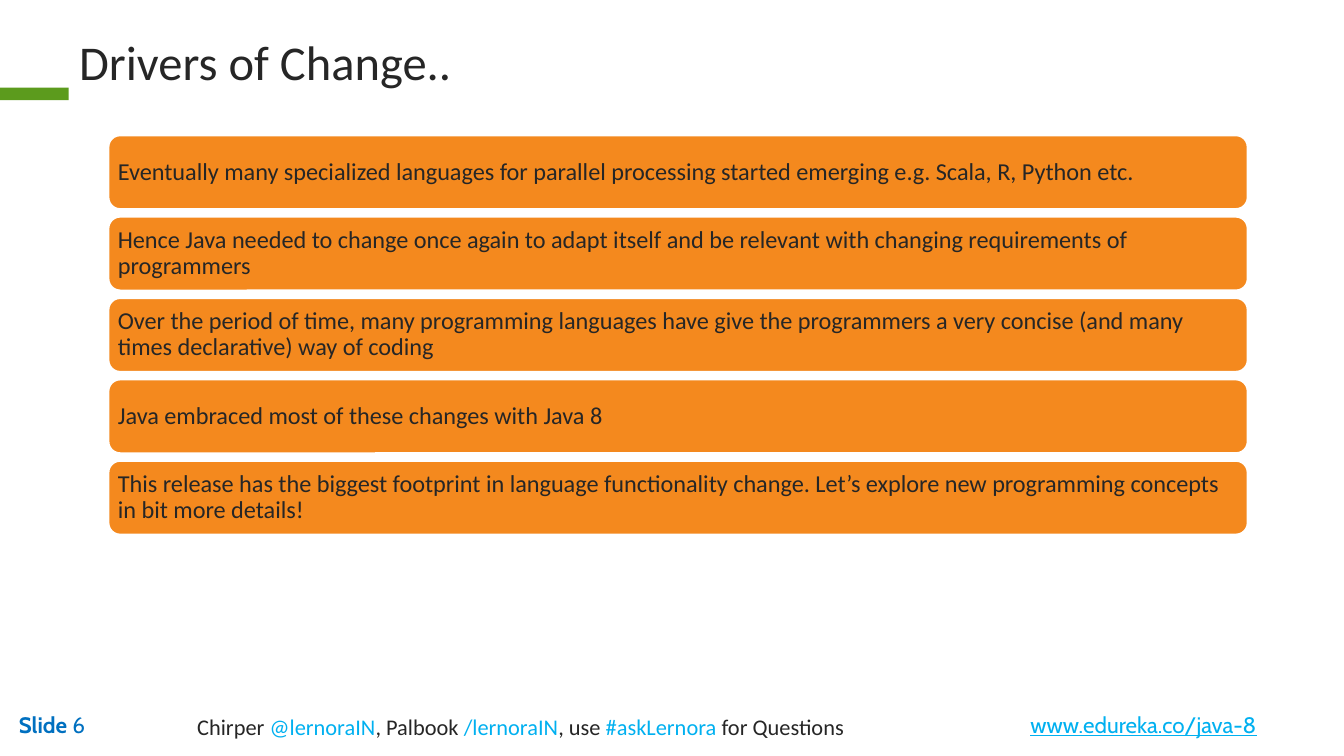
from typing import NamedTuple

from pptx import Presentation
from pptx.dml.color import RGBColor
from pptx.enum.shapes import MSO_SHAPE
from pptx.enum.text import MSO_ANCHOR
from pptx.util import Pt

RECT = MSO_SHAPE.RECTANGLE
ROUND = MSO_SHAPE.ROUNDED_RECTANGLE
MIDDLE = MSO_ANCHOR.MIDDLE

INK = "262626"
SKY = "00B0F0"
BLUE = "0070C0"
GREEN = "5C9B1D"
ORANGE = "F4891E"
WHITE = "FFFFFF"


class Box(NamedTuple):
    left: float
    top: float
    width: float
    height: float


class Span(NamedTuple):
    text: str
    color: str = INK
    bold: bool = False
    under: bool = False


class Label(NamedTuple):
    box: Box
    size: float
    face: str
    spans: list[Span]
    wrap: bool = True


LABELS = [
    Label(Box(3, 377.3, 113.8, 21.6), 12, "Cabin",
          [Span("Slide ", BLUE, bold=True), Span("6", BLUE)]),
    Label(Box(545, 377.3, 141, 21.6), 12, "Cabin",
          [Span("www.edureka.co/java-8", SKY, under=True)], wrap=False),
    Label(Box(98.6, 378.5, 474, 22), 12, "Calibri",
          [Span("Chirper "), Span("@lernoraIN", SKY),
           Span(", Palbook "), Span("/lernoraIN", SKY),
           Span(", use "), Span("#askLernora ", SKY),
           Span("for Questions")]),
    Label(Box(35.3, 13.7, 432.7, 34.6), 26, "Calibri",
          [Span("Drivers of Change..")]),
]

DRIVERS = [
    "Eventually many specialized languages for parallel processing started "
    "emerging e.g. Scala, R, Python etc.",
    "Hence Java needed to change once again to adapt itself and be relevant "
    "with changing requirements of programmers",
    "Over the period of time, many programming languages have give the "
    "programmers a very concise (and many times declarative) way of coding",
    "Java embraced most of these changes with Java 8",
    "This release has the biggest footprint in language functionality change. "
    "Let’s explore new programming concepts in bit more details!",
]
FIRST = Box(57.6, 72, 611.3, 40.5)
PITCH = 43.6


def paint(target, color: str) -> None:
    """Give a fill or a line one solid colour."""
    target.solid()
    target.fore_color.rgb = RGBColor.from_string(color)


def place(box: Box) -> list[Pt]:
    return [Pt(n) for n in box]


def write(para, spans: list[Span], size: float, face: str) -> None:
    for span in spans:
        run = para.add_run()
        run.text = span.text
        font = run.font
        font.name, font.size = face, Pt(size)
        font.bold, font.underline = span.bold, span.under
        paint(font.fill, span.color)


def add_label(slide, label: Label) -> None:
    frame = slide.shapes.add_textbox(*place(label.box)).text_frame
    frame.word_wrap = label.wrap
    write(frame.paragraphs[0], label.spans, label.size, label.face)


def add_block(slide, kind: MSO_SHAPE, box: Box, color: str):
    block = slide.shapes.add_shape(kind, *place(box))
    block.shadow.inherit = False
    paint(block.fill, color)
    block.line.fill.background()
    return block


def add_bar(slide, box: Box, text: str) -> None:
    bar = add_block(slide, ROUND, box, ORANGE)
    paint(bar.line.fill, WHITE)
    bar.line.width = Pt(2)
    frame = bar.text_frame
    frame.word_wrap = True
    frame.vertical_anchor = MIDDLE
    frame.margin_left = frame.margin_right = Pt(3.6)
    frame.margin_top = frame.margin_bottom = Pt(3.6)
    para = frame.paragraphs[0]
    para.alignment = 1
    para.line_spacing = 0.9
    write(para, [Span(text)], 13, "Calibri")


def main() -> None:
    deck = Presentation()
    deck.slide_width, deck.slide_height = Pt(720), Pt(405)
    slide = deck.slides.add_slide(deck.slide_layouts[6])
    add_block(slide, RECT, Box(0, 47, 36.8, 6.6), GREEN)
    for label in LABELS:
        add_label(slide, label)
    for i, text in enumerate(DRIVERS):
        add_bar(slide, FIRST._replace(top=FIRST.top + i * PITCH), text)
    deck.save("out.pptx")


if __name__ == "__main__":
    main()
